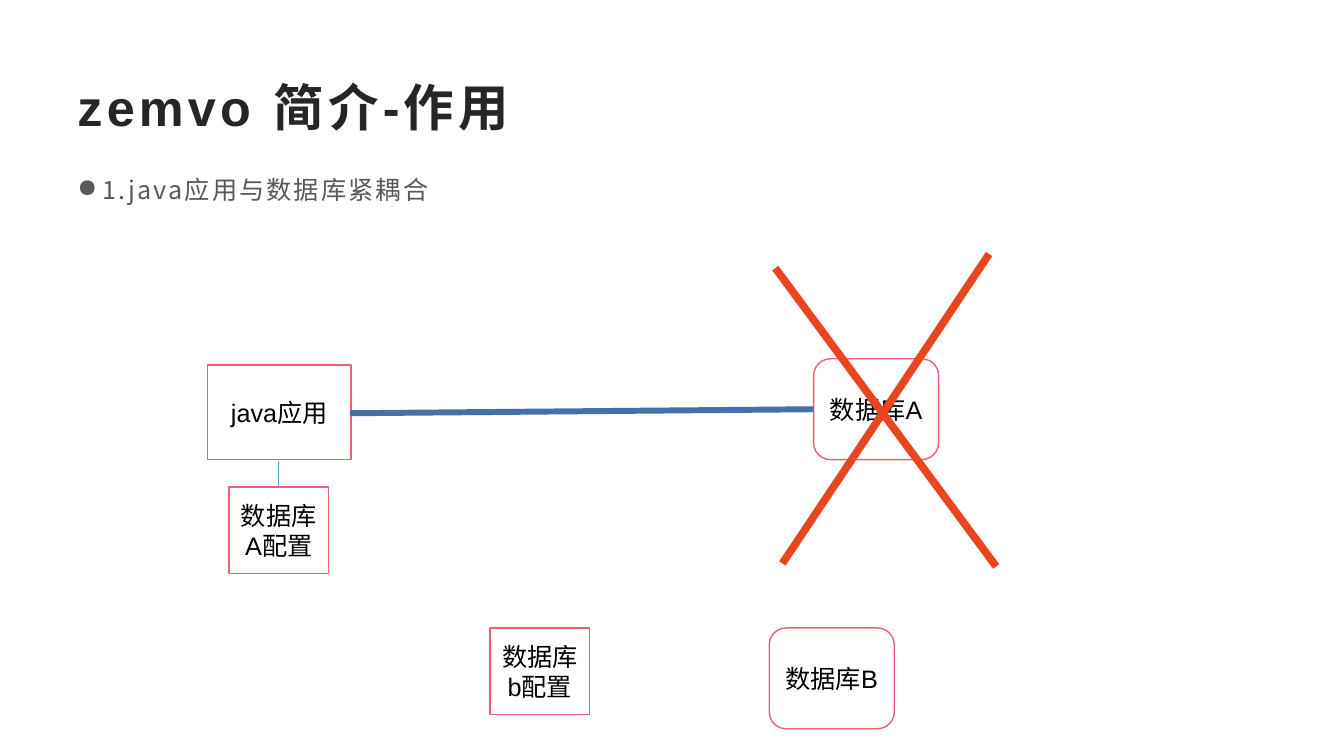
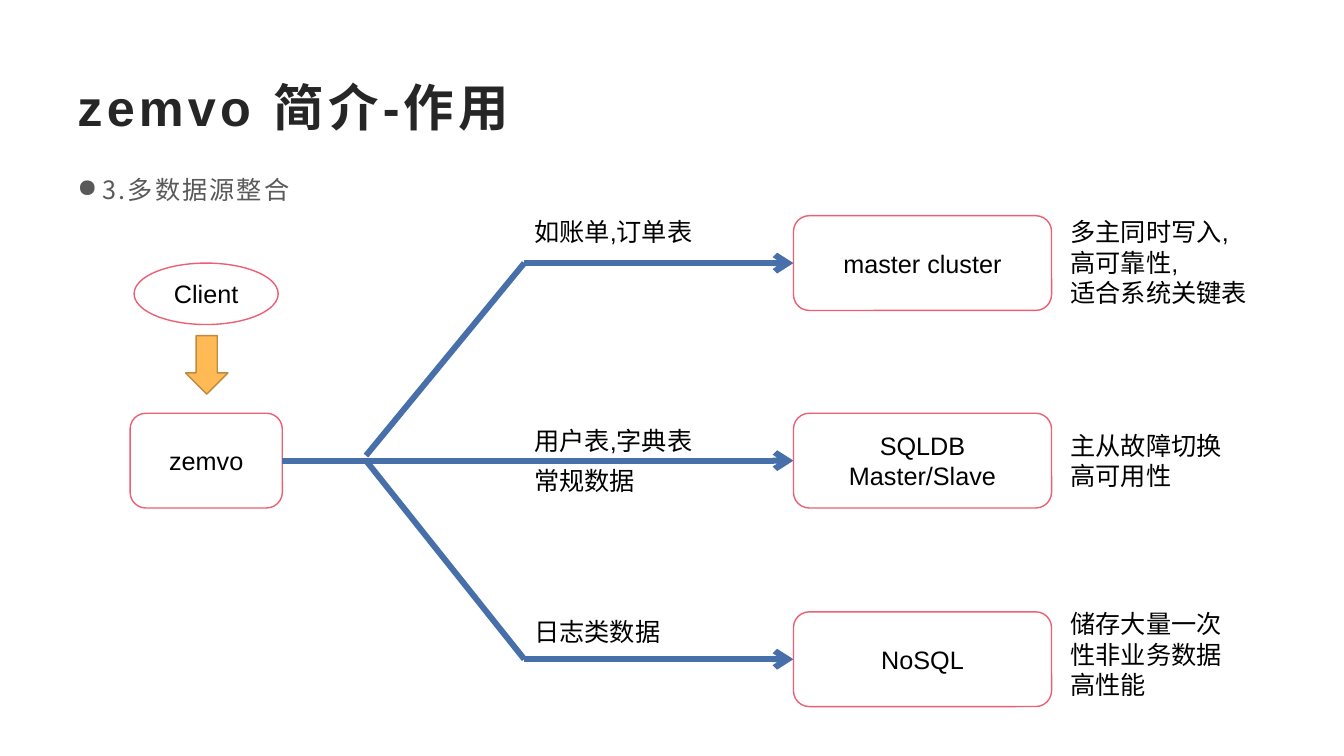
"""Build two slides on what a database middleware is used for."""
from lxml import etree
from pptx import Presentation
from pptx.dml.color import RGBColor
from pptx.enum.shapes import MSO_CONNECTOR, MSO_SHAPE
from pptx.enum.text import MSO_ANCHOR, PP_ALIGN
from pptx.oxml.ns import qn
from pptx.util import Inches, Pt

RECT, ROUND = MSO_SHAPE.RECTANGLE, MSO_SHAPE.ROUNDED_RECTANGLE
OVAL, DOWN_ARROW = MSO_SHAPE.OVAL, MSO_SHAPE.DOWN_ARROW
STRAIGHT = MSO_CONNECTOR.STRAIGHT
TOP, MIDDLE = MSO_ANCHOR.TOP, MSO_ANCHOR.MIDDLE
LEFT, CENTER = PP_ALIGN.LEFT, PP_ALIGN.CENTER

WHITE, PINK, BLUE, THIN_BLUE, RED = "FFFFFF", "EC5F74", "476FAA", "6096E6", "E94520"
ORANGE, BROWN = "FFBA55", "BD8A3F"
CJK_FONT = "Noto Sans CJK SC"
PLAIN = {"size": 18, "name": "Arial", "bold": False, "color": "000000", "spacing": 0}
TITLE = {"size": 36, "name": "Arial", "bold": True, "color": "262626", "spacing": 3}
BODY = {"size": 18, "name": CJK_FONT, "bold": False, "color": "595959", "spacing": 1.5}


def add_box(page, place, lines=(), kind=None, style=PLAIN, anchor=TOP, fill=WHITE, outline=PINK):
    """Add a text box, or a preset shape when a kind is given, and return it."""
    frame = [Inches(value) for value in place]
    if kind is None:
        box = page.shapes.add_textbox(*frame)
    else:
        box = page.shapes.add_shape(kind, *frame)
        box.shadow.inherit = False
        box.fill.solid()
        box.fill.fore_color.rgb = RGBColor.from_string(fill)
        box.line.color.rgb = RGBColor.from_string(outline)
        box.line.width = Pt(1)
        anchor = MIDDLE
    box.text_frame.word_wrap = True
    box.text_frame.vertical_anchor = anchor
    for index, line in enumerate(lines):
        para = box.text_frame.add_paragraph() if index else box.text_frame.paragraphs[0]
        para.alignment = LEFT if kind is None else CENTER
        span = para.add_run()
        span.text = line
        values = {"size": Pt(style["size"]), "name": style["name"], "bold": style["bold"]}
        for name, value in values.items():
            setattr(span.font, name, value)
        span.font.color.rgb = RGBColor.from_string(style["color"])
        properties = span.font._element
        properties.set("spc", str(int(style["spacing"] * 100)))
        east_asian = etree.Element(qn("a:ea"), typeface=CJK_FONT)
        properties.find(qn("a:latin")).addnext(east_asian)
    return box


def add_line(page, start, end, color=BLUE, width=4.25, arrow=False):
    """Add a straight line, with an arrowhead at its end if asked."""
    points = [Inches(value) for value in (*start, *end)]
    line = page.shapes.add_connector(STRAIGHT, *points)
    line.line.color.rgb = RGBColor.from_string(color)
    line.line.width = Pt(width)
    if arrow:
        etree.SubElement(line.line._get_or_add_ln(), qn("a:tailEnd"), type="arrow")
    etree.SubElement(line._element.spPr, qn("a:effectLst"))


deck = Presentation()
deck.slide_width, deck.slide_height = Inches(13.33), Inches(7.5)

pages = []
for topic in ("1.java应用与数据库紧耦合", "3.多数据源整合"):
    page = deck.slides.add_slide(deck.slide_layouts[6])
    add_box(page, (0.67, 0.67, 12, 0.77), ["zemvo 简介-作用"], style=TITLE, anchor=MIDDLE)
    body = add_box(page, (0.67, 1.62, 12, 0.99), [topic], style=BODY)
    para = body.text_frame.paragraphs[0]
    para.line_spacing, para.space_after = 1.2, Pt(10)
    properties = para._p.get_or_add_pPr()
    properties.set("marL", str(Inches(0.25)))
    properties.set("indent", str(Inches(-0.25)))
    etree.SubElement(properties, qn("a:buChar"), char="●")
    pages.append(page)
coupling, sources = pages

for kind, place, label in (
    (RECT, (2.06, 3.62, 1.42, 0.94), "java应用"),
    (ROUND, (8.07, 3.56, 1.24, 1), "数据库A"),
    (RECT, (2.27, 4.83, 0.99, 0.86), "数据库A配置"),
    (ROUND, (7.63, 6.23, 1.24, 1), "数据库B"),
    (RECT, (4.86, 6.23, 0.99, 0.86), "数据库b配置"),
):
    add_box(coupling, place, [label], kind)
add_line(coupling, (2.76, 4.83), (2.76, 4.57), THIN_BLUE, 0.5)
add_line(coupling, (3.47, 4.1), (8.07, 4.06))
add_line(coupling, (7.69, 2.66), (9.88, 5.62), RED, 5.5)
add_line(coupling, (7.76, 5.59), (9.81, 2.52), RED, 5.5)

row_centers = (2.61, 4.57, 6.54)
row_height = 0.94
hub_right, fork_x, branch_x, store_left = 2.8, 3.63, 5.2, 7.87
middle = row_centers[1]
add_box(sources, (1.33, 2.61, 1.43, 0.61), ["Client"], OVAL)
add_box(sources, (1.84, 3.33, 0.42, 0.58), kind=DOWN_ARROW, fill=ORANGE, outline=BROWN)
add_box(sources, (1.29, middle - row_height / 2, 1.51, row_height), ["zemvo"], ROUND)

stores = (
    (["master cluster"], 2.1, ["多主同时写入,", "高可靠性,", "适合系统关键表"]),
    (["SQLDB", "Master/Slave"], 4.22, ["主从故障切换", "高可用性"]),
    (["NoSQL"], 5.99, ["储存大量一次", "性非业务数据", "高性能"]),
)
for center, (names, note_top, notes) in zip(row_centers, stores):
    line_start = hub_right if center == middle else branch_x
    add_line(sources, (line_start, center), (store_left, center), arrow=True)
    if center != middle:
        fork_y = middle - 0.05 if center < middle else middle
        add_line(sources, (fork_x, fork_y), (branch_x, center))
    add_box(sources, (store_left, center - row_height / 2, 2.56, row_height), names, ROUND)
    add_box(sources, (10.52, note_top, 2.3, 0.1 + 0.3 * len(notes)), notes)

for top, label in (
    (2.1, "如账单,订单表"),
    (4.17, "用户表,字典表"),
    (4.57, "常规数据"),
    (6.07, "日志类数据"),
):
    add_box(sources, (branch_x, top, 2.17, 0.4), [label])

deck.save("out.pptx")
